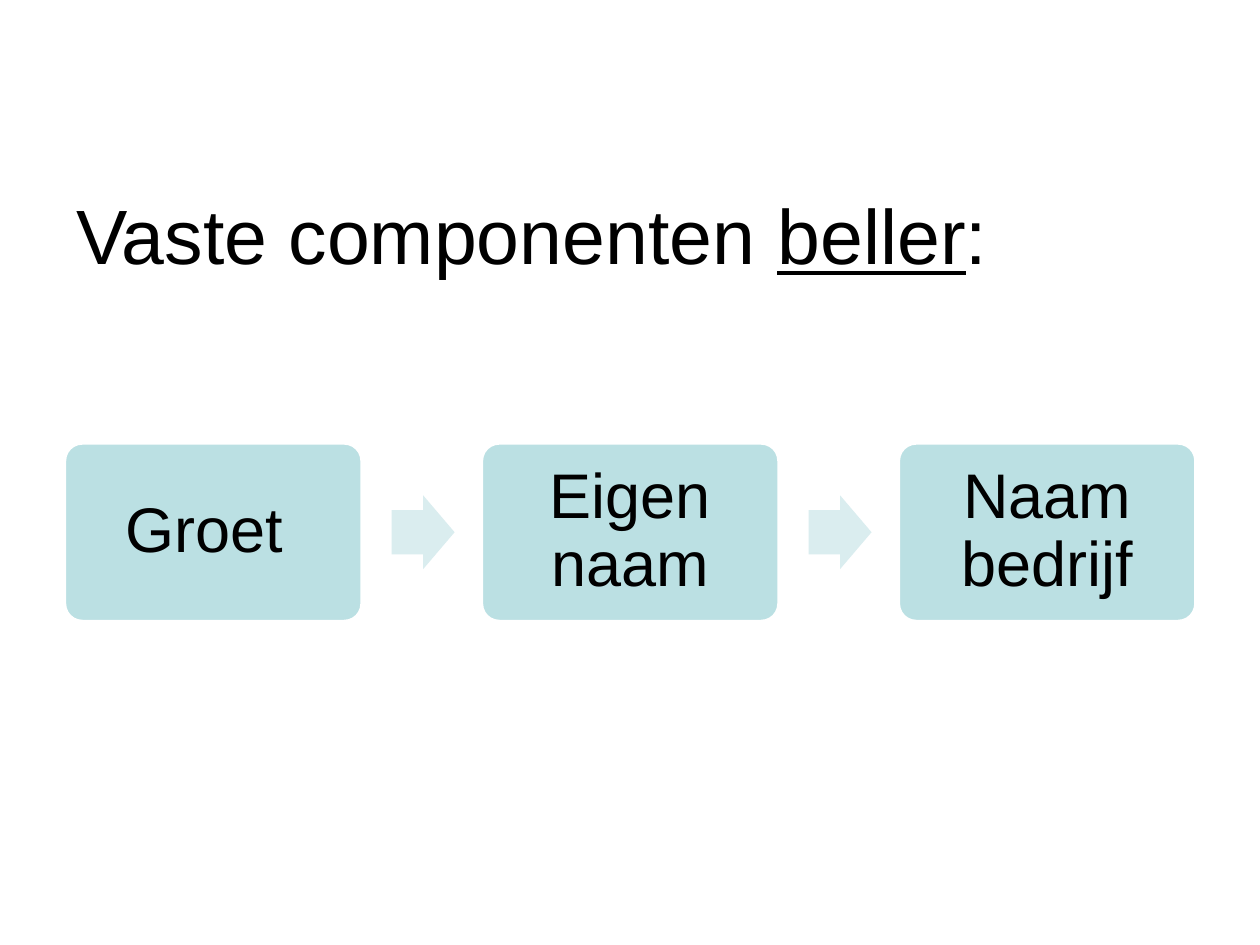
from dataclasses import dataclass

from pptx import Presentation
from pptx import util as u
from pptx.dml.color import RGBColor
from pptx.enum import shapes, text


@dataclass(frozen=True)
class Theme:
    font: str = "Arial"
    ink: str = "000000"
    card: str = "BBE0E3"
    arrow: str = "DAEDEF"
    edge: str = "FFFFFF"
    head: int = 44
    label: int = 36


THEME = Theme()


def write(frame, *runs, size, inset=None, lines=None):
    """Fill a frame with one centred paragraph of (wording, underline) runs."""
    frame.word_wrap = True
    frame.auto_size = text.MSO_AUTO_SIZE.NONE
    frame.vertical_anchor = text.MSO_ANCHOR.MIDDLE
    if inset is not None:
        frame.margin_left = frame.margin_right = inset
        frame.margin_top = frame.margin_bottom = inset
    para = frame.paragraphs[0]
    para.alignment = text.PP_ALIGN.CENTER
    para.line_spacing = lines
    for words, under in runs:
        run = para.add_run()
        run.text = words
        run.font.name = THEME.font
        run.font.size = u.Pt(size)
        run.font.underline = under
        run.font.color.rgb = RGBColor.from_string(THEME.ink)


def draw(group, kind, box, fill, *adjust):
    shape = group.shapes.add_shape(kind, *box)
    shape.shadow.inherit = False
    shape.fill.solid()
    shape.fill.fore_color.rgb = RGBColor.from_string(fill)
    shape.line.fill.background()
    for i, value in enumerate(adjust):
        shape.adjustments[i] = value
    return shape


def head(slide, box, *runs):
    title = slide.shapes.title
    title.left, title.top, title.width, title.height = box
    write(title.text_frame, *runs, size=THEME.head)


def flow(slide, box, steps):
    """Place equal cards across the box, with an arrow in each gap."""
    left, top, width, height = box
    card = u.Cm(6)
    pitch = (width - card) // (len(steps) - 1)
    wide, tall = u.Cm(1.27), u.Cm(1.49)
    group = slide.shapes.add_group_shape()
    for i, step in enumerate(steps):
        x = left + i * pitch
        if i:
            spot = (x - u.Cm(1.81), top + (height - tall) // 2, wide, tall)
            draw(group, shapes.MSO_SHAPE.RIGHT_ARROW, spot, THEME.arrow, 0.6, 0.5)
        shape = draw(group, shapes.MSO_SHAPE.ROUNDED_RECTANGLE,
                     (x, top, card, height), THEME.card, 0.1)
        shape.line.color.rgb = RGBColor.from_string(THEME.edge)
        shape.line.width = u.Pt(2)
        write(shape.text_frame, (step, None), size=THEME.label,
              inset=u.Cm(0.38), lines=0.9)


def main():
    deck = Presentation()
    deck.slide_width, deck.slide_height = u.Cm(25.4), u.Cm(19.05)
    slide = deck.slides.add_slide(deck.slide_layouts[5])
    head(slide, (u.Cm(-0.71), u.Cm(3.12), u.Cm(22.86), u.Cm(3.18)),
         ("Vaste componenten ", None), ("beller", True), (":", None))
    flow(slide, (u.Cm(1.3), u.Cm(8.93), u.Cm(22.81), u.Cm(3.6)),
         ("Groet ", "Eigen naam", "Naam bedrijf"))
    deck.save("out.pptx")


if __name__ == "__main__":
    main()
